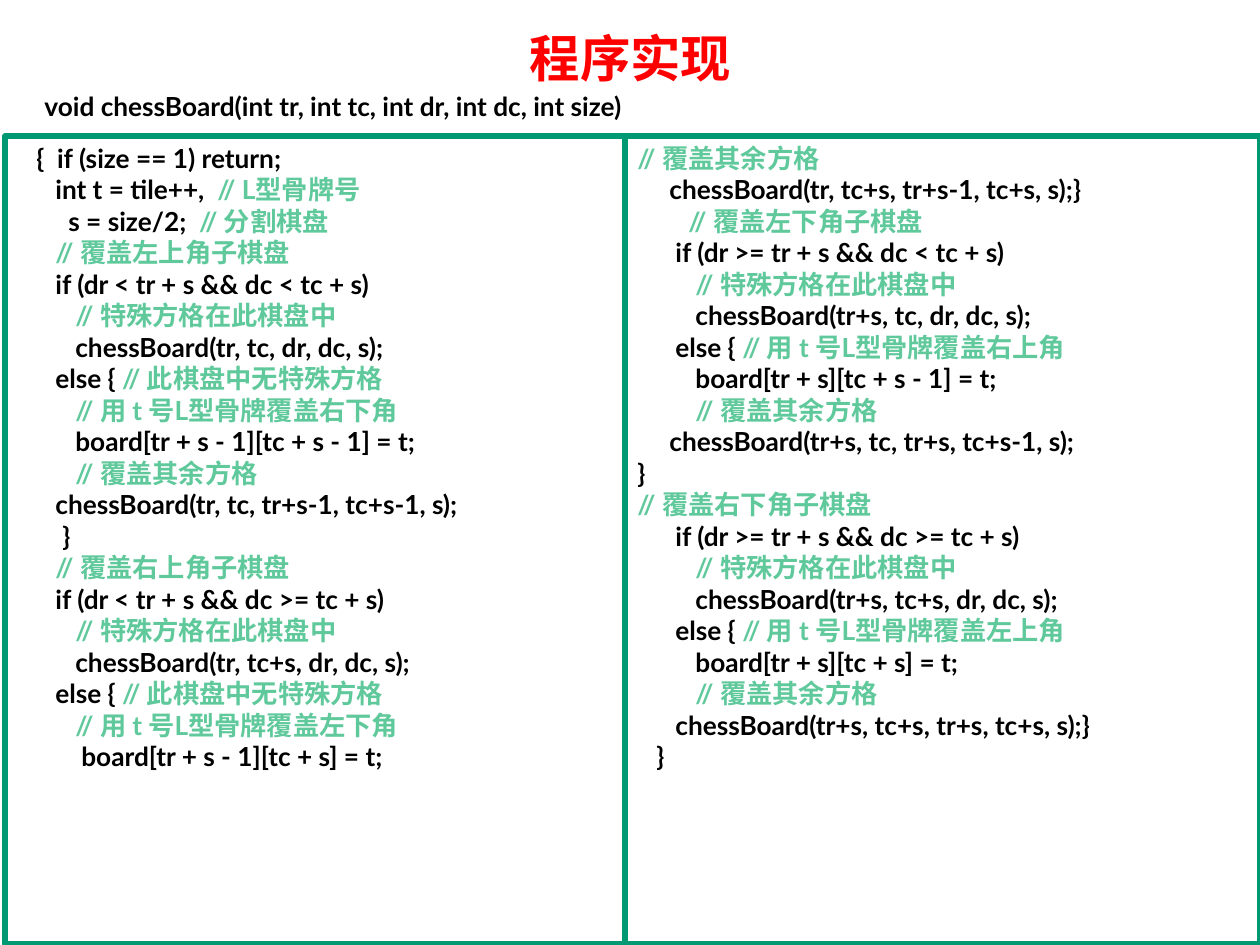
from dataclasses import dataclass
from typing import NamedTuple

from pptx import Presentation
from pptx.dml.color import RGBColor
from pptx.enum.shapes import MSO_SHAPE as Preset
from pptx.enum.text import MSO_ANCHOR as Anchor, PP_ALIGN as Align
from pptx.util import Pt

PX = 914400 / 126


@dataclass(frozen=True)
class Theme:
    title_font: str = "Vollkorn"
    code_font: str = "Lato"
    title_size: float = 28.8
    code_size: float = 15
    border_width: float = 3
    title: RGBColor = RGBColor(0xFF, 0x00, 0x00)
    code: RGBColor = RGBColor(0x00, 0x00, 0x00)
    comment: RGBColor = RGBColor(0x60, 0xC9, 0x9C)
    border: RGBColor = RGBColor(0x00, 0x99, 0x73)


class Box(NamedTuple):
    left: int
    top: int
    width: int
    height: int


class Line(NamedTuple):
    indent: int
    code: str = ""
    comment: str = ""


class Panel(NamedTuple):
    box: Box
    lines: list[Line]


THEME = Theme()
TITLE_BOX = Box(95, 21, 1071, 73)
SIGNATURE_BOX = Box(32, 84, 1002, 44)

PANELS = [
    Panel(Box(5, 136, 620, 808), [
        Line(19, "{  if (size == 1) return;"),
        Line(38, "int t = tile++,  ", "// L型骨牌号"),
        Line(51, "s = size/2;  ", "// 分割棋盘"),
        Line(38, comment="// 覆盖左上角子棋盘"),
        Line(38, "if (dr < tr + s && dc < tc + s)"),
        Line(58, comment="// 特殊方格在此棋盘中"),
        Line(58, "chessBoard(tr, tc, dr, dc, s);"),
        Line(38, "else { ", "// 此棋盘中无特殊方格"),
        Line(58, comment="// 用 t 号L型骨牌覆盖右下角"),
        Line(58, "board[tr + s - 1][tc + s - 1] = t;"),
        Line(58, comment="// 覆盖其余方格"),
        Line(38, "chessBoard(tr, tc, tr+s-1, tc+s-1, s);"),
        Line(45, "}"),
        Line(38, comment="// 覆盖右上角子棋盘"),
        Line(38, "if (dr < tr + s && dc >= tc + s)"),
        Line(58, comment="// 特殊方格在此棋盘中"),
        Line(58, "chessBoard(tr, tc+s, dr, dc, s);"),
        Line(38, "else { ", "// 此棋盘中无特殊方格"),
        Line(58, comment="// 用 t 号L型骨牌覆盖左下角"),
        Line(64, "board[tr + s - 1][tc + s] = t;"),
    ]),
    Panel(Box(625, 136, 635, 808), [
        Line(0, comment="// 覆盖其余方格"),
        Line(32, "chessBoard(tr, tc+s, tr+s-1, tc+s, s);}"),
        Line(51, comment="// 覆盖左下角子棋盘"),
        Line(38, "if (dr >= tr + s && dc < tc + s)"),
        Line(58, comment="// 特殊方格在此棋盘中"),
        Line(58, "chessBoard(tr+s, tc, dr, dc, s);"),
        Line(38, "else { ", "// 用 t 号L型骨牌覆盖右上角"),
        Line(58, "board[tr + s][tc + s - 1] = t;"),
        Line(58, comment="// 覆盖其余方格"),
        Line(32, "chessBoard(tr+s, tc, tr+s, tc+s-1, s);"),
        Line(0, "}"),
        Line(0, comment="// 覆盖右下角子棋盘"),
        Line(38, "if (dr >= tr + s && dc >= tc + s)"),
        Line(58, comment="// 特殊方格在此棋盘中"),
        Line(58, "chessBoard(tr+s, tc+s, dr, dc, s);"),
        Line(38, "else { ", "// 用 t 号L型骨牌覆盖左上角"),
        Line(58, "board[tr + s][tc + s] = t;"),
        Line(58, comment="// 覆盖其余方格"),
        Line(38, "chessBoard(tr+s, tc+s, tr+s, tc+s, s);}"),
        Line(19, "}"),
    ]),
]


def px(length: int) -> int:
    return round(length * PX)


def emu(box: Box) -> list[int]:
    return [px(length) for length in box]


def set_font(paragraph, name: str, size: float) -> None:
    font = paragraph.font
    font.name, font.size, font.bold = name, Pt(size), True


def write_line(paragraph, line: Line) -> None:
    paragraph.alignment = Align.LEFT
    set_font(paragraph, THEME.code_font, THEME.code_size)
    paragraph._p.get_or_add_pPr().set("marL", str(px(line.indent)))
    for text, color in ((line.code, THEME.code), (line.comment, THEME.comment)):
        if text:
            run = paragraph.add_run()
            run.text = text
            run.font.color.rgb = color


def write_lines(shape, lines: list[Line]) -> None:
    frame = shape.text_frame
    frame.word_wrap = True
    frame.vertical_anchor = Anchor.TOP
    for index, line in enumerate(lines):
        write_line(frame.add_paragraph() if index else frame.paragraphs[0], line)


def add_title(slide, text: str) -> None:
    title = slide.shapes.title
    title.left, title.top, title.width, title.height = emu(TITLE_BOX)
    title.text_frame.text = text
    title.text_frame.vertical_anchor = Anchor.MIDDLE
    paragraph = title.text_frame.paragraphs[0]
    paragraph.alignment = Align.CENTER
    set_font(paragraph, THEME.title_font, THEME.title_size)
    paragraph.font.color.rgb = THEME.title


def add_panel(slide, panel: Panel) -> None:
    shape = slide.shapes.add_shape(Preset.RECTANGLE, *emu(panel.box))
    shape.shadow.inherit = False
    shape.fill.background()
    shape.line.color.rgb = THEME.border
    shape.line.width = Pt(THEME.border_width)
    write_lines(shape, panel.lines)


def main() -> None:
    presentation = Presentation()
    presentation.slide_width, presentation.slide_height = px(1260), px(945)
    slide = presentation.slides.add_slide(presentation.slide_layouts[5])
    add_title(slide, "程序实现")
    for panel in PANELS:
        add_panel(slide, panel)
    signature = slide.shapes.add_textbox(*emu(SIGNATURE_BOX))
    write_lines(signature, [Line(0, "void chessBoard(int tr, int tc, int dr, int dc, int size)")])
    presentation.save("out.pptx")


if __name__ == "__main__":
    main()
